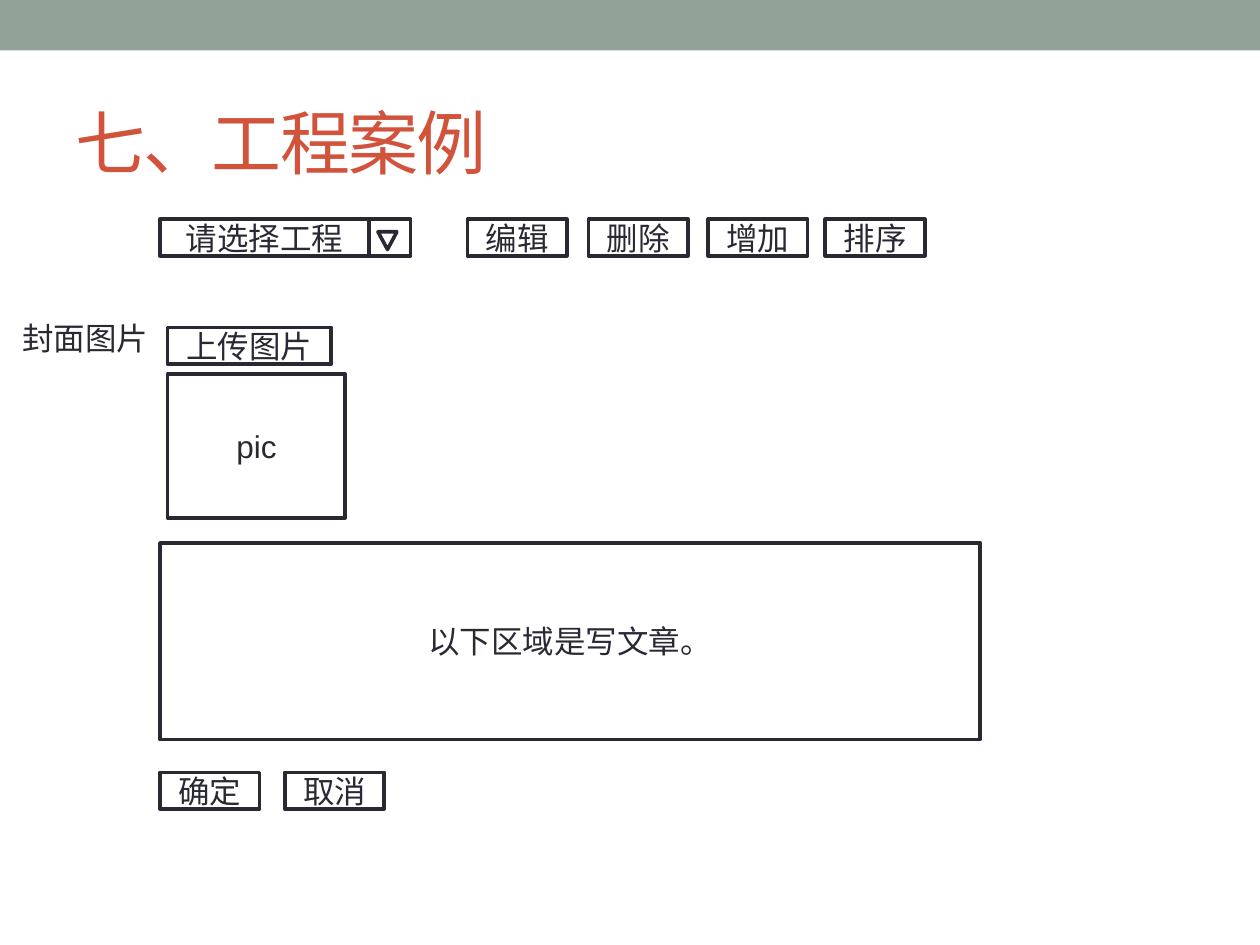
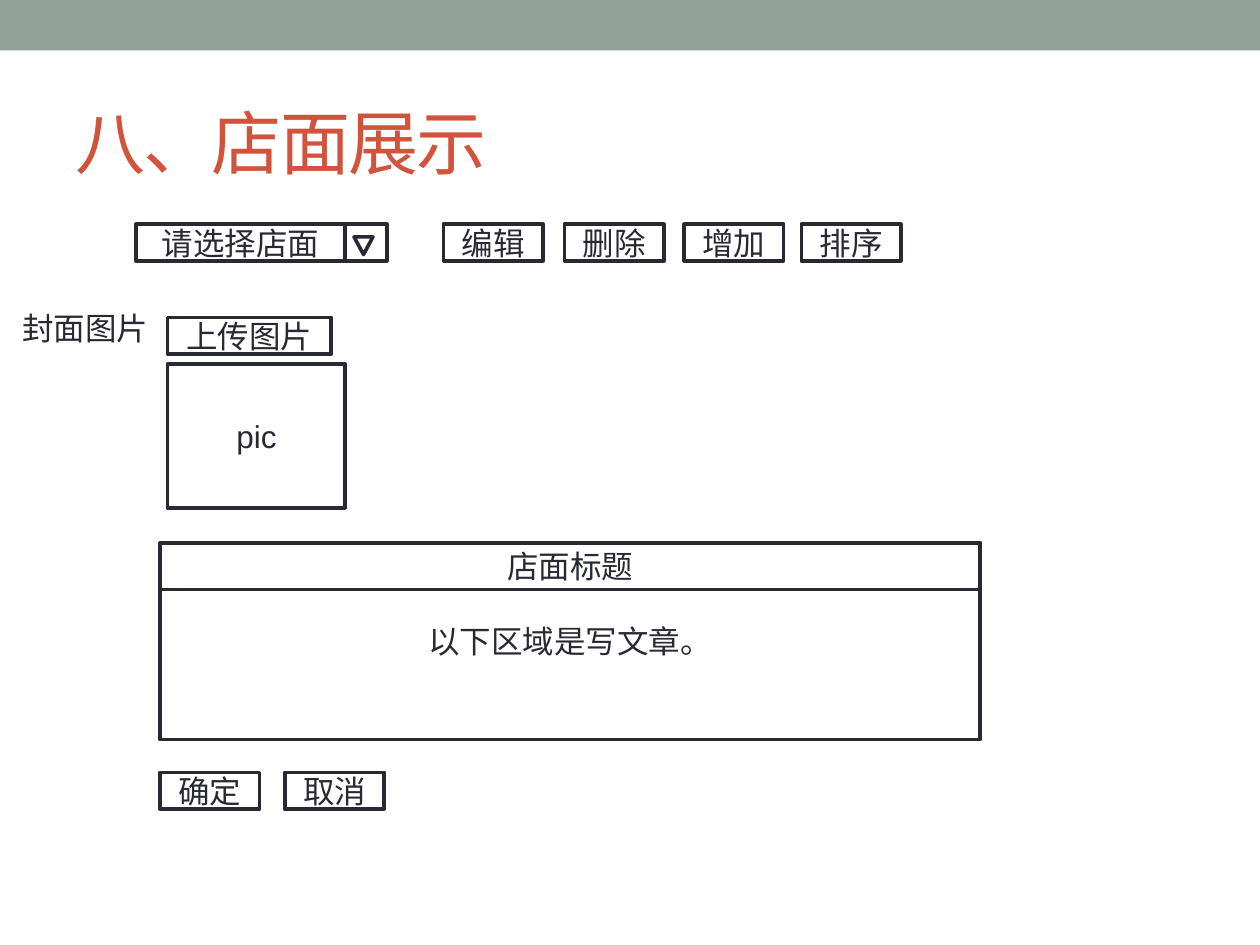
from pptx import Presentation
from pptx.dml.color import RGBColor
from pptx.enum.shapes import MSO_SHAPE
from pptx.enum.text import MSO_ANCHOR, MSO_AUTO_SIZE, PP_ALIGN
from pptx.util import Inches, Pt

BAND, ACCENT, INK, PAPER = "93A299", "D2533C", "292934", "FFFFFF"
FONT = "Arial"
LINE_WIDTH = 2.08
BUTTON_WIDTH, BUTTON_HEIGHT = 0.79, 0.29
FORM_LEFT = 1.27
TOOLBAR_BUTTONS = {"编辑": 2.44, "删除": 3.4, "增加": 4.35, "排序": 5.28}


def color(hex_string):
    return RGBColor.from_string(hex_string)


def set_all(target, values):
    for name, value in values.items():
        setattr(target, name, value)


def write(shape, text, size=18, ink=INK, alignment=PP_ALIGN.CENTER,
          anchor=MSO_ANCHOR.MIDDLE):
    """Put one formatted run into a shape and return the run."""
    shape.text_frame.vertical_anchor = anchor
    paragraph = shape.text_frame.paragraphs[0]
    paragraph.alignment = alignment
    run = paragraph.add_run()
    run.text = text
    set_all(run.font, {"name": FONT, "size": Pt(size)})
    run.font.color.rgb = color(ink)
    return run


def add_box(slide, left, top, width, height, text="", kind=MSO_SHAPE.RECTANGLE):
    """Outlined wireframe box with optional centred text."""
    shape = slide.shapes.add_shape(
        kind, Inches(left), Inches(top), Inches(width), Inches(height))
    shape.shadow.inherit = False
    shape.fill.solid()
    shape.fill.fore_color.rgb = color(PAPER)
    shape.line.color.rgb = color(INK)
    shape.line.width = Pt(LINE_WIDTH)
    if text:
        write(shape, text)
    return shape


def add_button(slide, left, top, text):
    return add_box(slide, left, top, BUTTON_WIDTH, BUTTON_HEIGHT, text)


def add_master_band(presentation, slide):
    """Draw the top band, then move it behind everything on the master."""
    band = add_box(slide, 0, 0, 10, 0.4)
    band.fill.fore_color.rgb = color(BAND)
    band.line.fill.background()
    presentation.slide_master.shapes.element.insert(2, band.element)


def add_title(slide, text):
    title = slide.shapes.title
    set_all(title, {"left": Inches(0.5), "top": Inches(0.58),
                    "width": Inches(9), "height": Inches(1.08)})
    run = write(title, text, 40, ACCENT, PP_ALIGN.LEFT)
    run.font._element.set("spc", "-100")  # tighten letters by one point


def add_toolbar(slide, left, top, prompt):
    """Drop-down list followed by the four action buttons."""
    list_width = 1.66
    arrow_left = left + list_width
    add_box(slide, left, top, list_width, BUTTON_HEIGHT, prompt)
    add_box(slide, arrow_left, top, 0.33, BUTTON_HEIGHT)
    arrow = add_box(slide, arrow_left + 0.07, top + 0.1, 0.15, 0.14,
                    kind=MSO_SHAPE.ISOSCELES_TRIANGLE)
    arrow.rotation = 180
    for text, offset in TOOLBAR_BUTTONS.items():
        add_button(slide, left + offset, top, text)


def add_cover_picker(slide, left, top):
    """Label, upload button and preview of the cover."""
    label = slide.shapes.add_textbox(
        Inches(left - 1.25), Inches(top - 0.12), Inches(1.21), Inches(0.4))
    set_all(label.text_frame, {"word_wrap": False,
                               "auto_size": MSO_AUTO_SIZE.SHAPE_TO_FIT_TEXT})
    write(label, "封面图片", alignment=PP_ALIGN.LEFT, anchor=MSO_ANCHOR.TOP)
    add_box(slide, left, top, 1.3, BUTTON_HEIGHT, "上传图片")
    add_box(slide, left, top + 0.37, 1.41, 1.14, "pic")


def add_editor(slide, left, top, heading):
    """Article area, its optional heading, and the closing buttons."""
    width = 6.51
    add_box(slide, left, top, width, 1.56, "以下区域是写文章。")
    if heading:
        add_box(slide, left, top, width, 0.37, heading)
    for index, text in enumerate(("确定", "取消")):
        add_button(slide, left + index * 0.99, top + 1.82, text)


def add_form_slide(presentation, title, prompt, toolbar, cover_top, heading=""):
    slide = presentation.slides.add_slide(presentation.slide_layouts[5])
    add_title(slide, title)
    add_toolbar(slide, *toolbar, prompt)
    add_cover_picker(slide, 1.33, cover_top)
    add_editor(slide, FORM_LEFT, 4.31, heading)
    return slide


presentation = Presentation()
set_all(presentation, {"slide_width": Inches(10), "slide_height": Inches(7.5)})

project_slide = add_form_slide(
    presentation, "七、工程案例", "请选择工程", (FORM_LEFT, 1.74), 2.6)
add_form_slide(
    presentation, "八、店面展示", "请选择店面", (1.08, 1.78), 2.52, "店面标题")
add_master_band(presentation, project_slide)

presentation.save("out.pptx")
